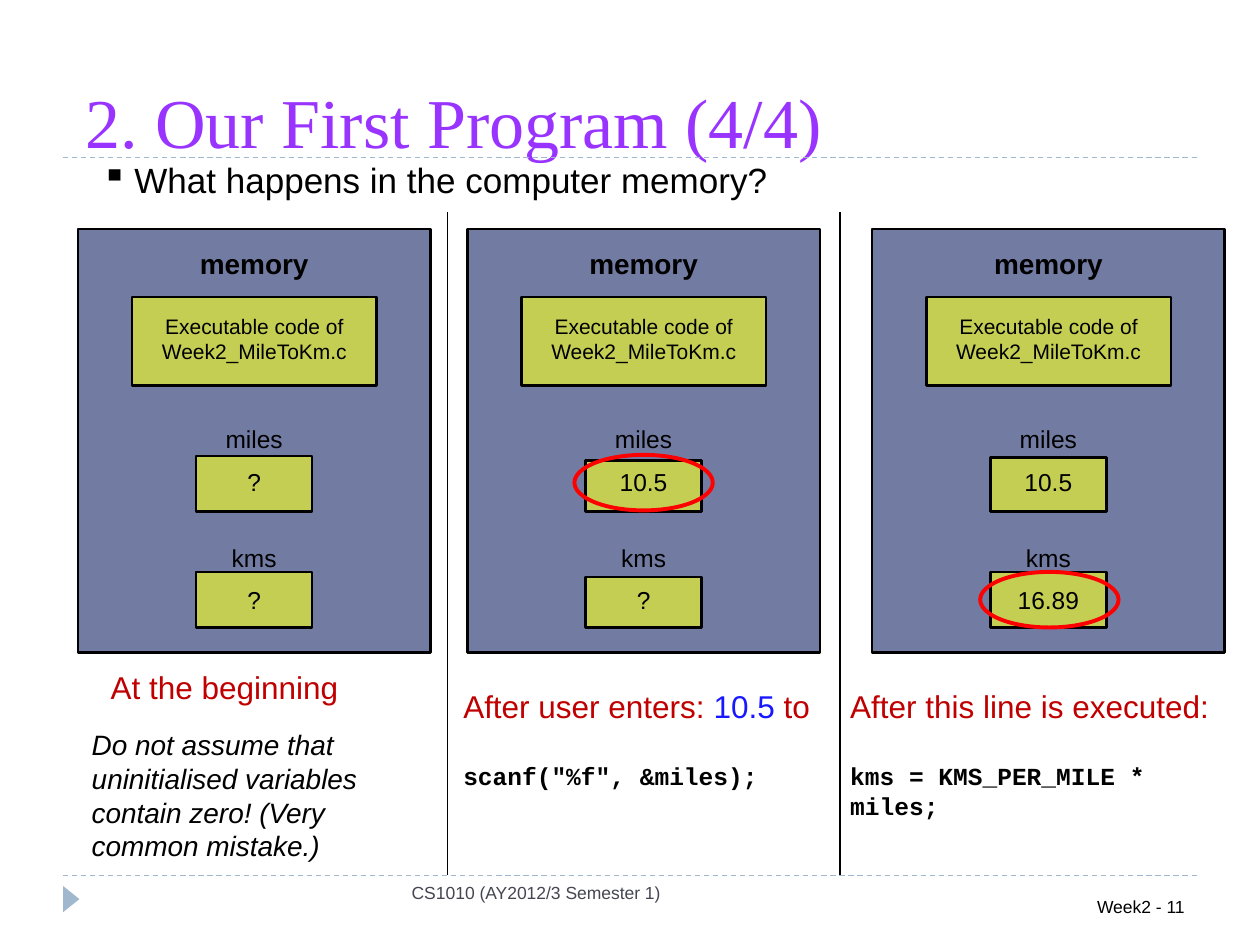
"""Build a slide showing how variables change in memory as a program runs."""
from lxml import etree
from pptx import Presentation
from pptx import util as u
from pptx.dml.color import RGBColor
from pptx.enum import dml, shapes, text
from pptx.oxml.ns import qn

color = RGBColor.from_string
LEFT, CENTER, RIGHT = text.PP_ALIGN.LEFT, text.PP_ALIGN.CENTER, text.PP_ALIGN.RIGHT


def add_text(parent, box, words, size, ink="000000", align=LEFT, wrap=True):
    shape = parent.shapes.add_textbox(*map(u.Cm, box))
    shape.text_frame.word_wrap = wrap
    paragraph = shape.text_frame.paragraphs[0]
    paragraph.text = words
    paragraph.alignment = align
    paragraph.font.size = u.Pt(size)
    paragraph.font.name = "Arial"
    paragraph.font.color.rgb = color(ink)
    return shape.text_frame


def add_shape(parent, kind, box, fill=None, line=None, weight=1.5):
    shape = parent.shapes.add_shape(kind, *map(u.Cm, box))
    shape.shadow.inherit = False
    if fill:
        shape.fill.solid()
        shape.fill.fore_color.rgb = color(fill)
    else:
        shape.fill.background()
    if line:
        shape.line.color.rgb = color(line)
        shape.line.width = u.Pt(weight)
    else:
        shape.line.fill.background()
    return shape


presentation = Presentation()
presentation.slide_width, presentation.slide_height = u.Cm(25.4), u.Cm(19.05)
slide = presentation.slides.add_slide(presentation.slide_layouts[5])

rules = [
    (1.27, 17.65, 24.13, 17.65, "9FB8CD", 0.75, True),
    (1.27, 3.18, 24.13, 3.18, "9FB8CD", 0.75, True),
    (9.02, 4.27, 9.02, 17.63, "000000", 1, False),
    (16.94, 4.27, 16.94, 17.63, "000000", 1, False),
]
for *ends, ink, weight, dashed in rules:
    rule = slide.shapes.add_connector(shapes.MSO_CONNECTOR.STRAIGHT, *map(u.Cm, ends))
    rule.line.color.rgb = color(ink)
    rule.line.width = u.Pt(weight)
    if dashed:
        rule.line.dash_style = dml.MSO_LINE.DASH
    etree.SubElement(rule.element.spPr, qn("a:effectLst"))

marker = add_shape(slide, shapes.MSO_SHAPE.ISOSCELES_TRIANGLE, (1.17, 17.96, 0.53, 0.33), "9FB8CD")
marker.rotation = 90

title = slide.shapes.title
title.left, title.top, title.width, title.height = map(u.Cm, (1.47, 1.07, 23.29, 2.34))
title.text_frame.text = "2. Our First Program (4/4)"
title.text_frame.vertical_anchor = text.MSO_ANCHOR.BOTTOM
heading = title.text_frame.paragraphs[0]
heading.alignment = LEFT
heading.font.size = u.Pt(40)
heading.font.name = "Times New Roman"
heading.font.color.rgb = color("9933FF")

question = add_text(slide, (1.8, 3.07, 14.76, 1.12), "What happens in the computer memory?", 20)
properties = question.paragraphs[0]._p.get_or_add_pPr()
properties.set("marL", str(u.Cm(0.66)))
properties.set("indent", str(u.Cm(-0.66)))
bullet = etree.Element(qn("a:buChar"), char="▪")
properties.insert(0, bullet)

panel_width, box_width = 7.11, 2.34
panels = [
    (1.57, [("miles", "?", 1.12), ("kms", "?", 1.12)]),
    (9.42, [("miles", "10.5", 1.02), ("kms", "?", 1.02)]),
    (17.58, [("miles", "10.5", 1.09), ("kms", "16.89", 1.12)]),
]
label_rows = [(8.43, 9.3, 10.31), (10.82, 11.66, 12.65)]
for left, variables in panels:
    group = slide.shapes.add_group_shape()
    middle = left + panel_width / 2
    add_shape(group, shapes.MSO_SHAPE.RECTANGLE, (left, 4.62, panel_width, 8.53), "727CA3", "000000")
    memory = add_text(group, (middle - 1.41, 4.85, 2.82, 0.94), "memory", 16, align=CENTER, wrap=False)
    memory.paragraphs[0].font.bold = True
    add_shape(group, shapes.MSO_SHAPE.RECTANGLE, (middle - 2.46, 5.99, 4.93, 1.78), "C4CE52", "000000")
    add_text(group, (middle - 2.22, 6.2, 4.45, 1.27), "Executable code of Week2_MileToKm.c", 12, align=CENTER)
    for (name, value, height), (name_top, value_top, bottom) in zip(variables, label_rows):
        box = (middle - box_width / 2, bottom - height, box_width, height)
        add_shape(group, shapes.MSO_SHAPE.RECTANGLE, box, "C4CE52", "000000")
        add_text(group, (middle - 0.84, name_top, 1.68, 0.86), name, 14, align=CENTER, wrap=False)
        add_text(group, (middle - 0.98, value_top, 1.96, 0.86), value, 14, align=CENTER, wrap=False)

for left, top in [(11.58, 9.17), (19.76, 11.53)]:
    add_shape(slide, shapes.MSO_SHAPE.OVAL, (left, top, 2.79, 1.12), line="FF0000", weight=2.25)

add_text(slide, (1.98, 13.34, 5.16, 1.02), "At the beginning", 18, "C00000", wrap=False)
warning = add_text(
    slide, (1.6, 14.55, 6.5, 3),
    "Do not assume that uninitialised variables contain zero! (Very common mistake.)", 16)
warning.paragraphs[0].font.italic = True

steps = [
    ((9.09, 13.72, 7.98, 2.49), "After user enters: ", [("10.5 ", "1818FF"), ("to", "C00000")],
     'scanf("%f", &miles);'),
    ((16.89, 13.72, 8.51, 2.39), "After this line is executed:", [], "kms = KMS_PER_MILE * miles;"),
]
for box, caption, extras, code in steps:
    frame = add_text(slide, box, caption, 18, "C00000")
    for words, ink in extras:
        run = frame.paragraphs[0].add_run()
        run.text = words
        run.font.color.rgb = color(ink)
    statement = frame.add_paragraph()
    statement.text = code
    statement.space_before = u.Pt(21)
    statement.font.size = u.Pt(14)
    statement.font.name = "Courier New"
    statement.font.bold = True
    statement.font.color.rgb = color("000000")

add_text(slide, (8.05, 17.65, 9.73, 1.02), "CS1010 (AY2012/3 Semester 1)", 10, "464653")
page = add_text(slide, (18.21, 17.35, 5.92, 1.27), "Week2 - 11", 10, align=RIGHT)
page.vertical_anchor = text.MSO_ANCHOR.BOTTOM

presentation.save("out.pptx")
